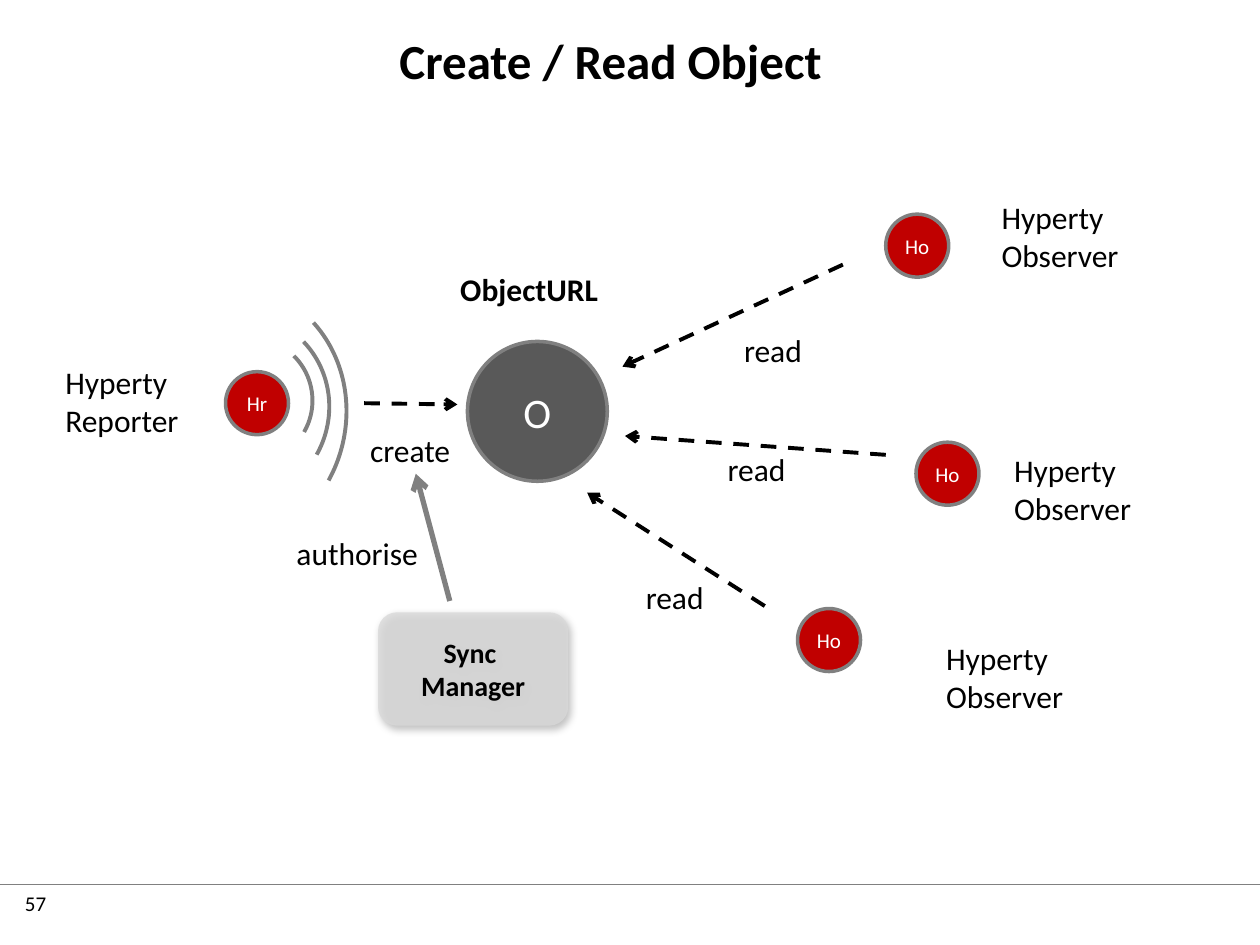
from lxml.etree import SubElement
from pptx import Presentation
from pptx.dml.color import RGBColor
from pptx.enum.dml import MSO_LINE
from pptx.enum.shapes import MSO_CONNECTOR, MSO_SHAPE
from pptx.enum.text import MSO_ANCHOR, MSO_AUTO_SIZE, PP_ALIGN
from pptx.oxml.ns import qn
from pptx.util import Pt

PX = 9144  # 100 px to the inch
FONT = "Calibri"
BLACK = RGBColor(0x00, 0x00, 0x00)
WHITE = RGBColor(0xFF, 0xFF, 0xFF)
GRAY = RGBColor(0x80, 0x80, 0x80)
RED = RGBColor(0xC0, 0x00, 0x00)
DARK = RGBColor(0x59, 0x59, 0x59)
PALE = RGBColor(0xD9, 0xD9, 0xD9)

TITLE = ("Create / Read Object", (91, 19, 787, 52))
PAGE_NUMBER = ("57", (10, 702, 80, 40))
FOOTER_RULE = ((0, 702), (1000, 702))

# text, left, top, diameter, fill, font size
NODES = [
    ("Hr", 179, 295, 50, RED, 12),
    ("Ho", 727, 351, 50, RED, 12),
    ("O", 371, 271, 111, DARK, 24),
    ("Ho", 633, 483, 50, RED, 12),
    ("Ho", 703, 170, 50, RED, 12),
]
# text, left, top
ROLES = [
    ("Hyperty Reporter", 42, 283),
    ("Hyperty Observer", 785, 152),
    ("Hyperty Observer", 795, 353),
    ("Hyperty Observer", 741, 502),
]
ACTIONS = [
    ("create", 263, 337),
    ("read", 551, 258),
    ("read", 538, 352),
    ("read", 473, 454),
    ("authorise", 221, 419),
]
OBJECT_URL = ("ObjectURL", (340, 209, 160, 40))
MANAGER = ("Sync \vManager", (300, 486, 151, 90))
# start, end
MESSAGES = [
    ((669, 210), (494, 291)),
    ((289, 320), (363, 321)),
    ((703, 361), (496, 346)),
    ((607, 481), (466, 391)),
]
AUTHORISATION = ((357, 477), (330, 376))
WAVES = [(148, 268, 100, 100), (115, 249, 146, 151), (74, 224, 200, 215)]
WAVE_ANGLES = (175.919, 4.959)
WAVE_TURN = 21.6


def emu(lengths):
    return [length * PX for length in lengths]


def write(frame, text, size, color=BLACK, bold=False, align=PP_ALIGN.LEFT):
    frame.text = text
    paragraph = frame.paragraphs[0]
    paragraph.alignment = align
    font = paragraph.font
    font.name, font.size, font.bold = FONT, Pt(size), bold
    font.color.rgb = color


def add_label(text, box, size=18, **style):
    frame = slide.shapes.add_textbox(*emu(box)).text_frame
    frame.word_wrap = True
    write(frame, text, size, **style)


def add_figure(preset, box, text, size, fill, color, bold=False):
    figure = slide.shapes.add_shape(preset, *emu(box))
    figure.shadow.inherit = False
    figure.fill.solid()
    figure.fill.fore_color.rgb = fill
    frame = figure.text_frame
    frame.margin_left = frame.margin_top = frame.margin_right = frame.margin_bottom = 0
    frame.word_wrap = False
    frame.vertical_anchor = MSO_ANCHOR.MIDDLE
    write(frame, text, size, color, bold, PP_ALIGN.CENTER)
    return figure


def add_line(start, end, color, width, dashed=False, arrow=True):
    line = slide.shapes.add_connector(MSO_CONNECTOR.STRAIGHT, *emu(start + end))
    line.line.color.rgb = color
    line.line.width = Pt(width)
    if dashed:
        line.line.dash_style = MSO_LINE.DASH
    if arrow:
        SubElement(line.line._get_or_add_ln(), qn("a:tailEnd"), type="arrow")
    SubElement(line._element.spPr, qn("a:effectLst"))


prs = Presentation()
prs.slide_width, prs.slide_height = emu((1000, 750))
slide = prs.slides.add_slide(prs.slide_layouts[5])

# Title
heading, heading_box = TITLE
title = slide.shapes.title
title.left, title.top, title.width, title.height = emu(heading_box)
title.text_frame.auto_size = MSO_AUTO_SIZE.NONE
title.text_frame.vertical_anchor = MSO_ANCHOR.TOP
write(title.text_frame, heading, 28, bold=True, align=PP_ALIGN.CENTER)

# Footer
add_label(*PAGE_NUMBER, size=12)
add_line(*FOOTER_RULE, GRAY, 0.75, arrow=False)

# Hyperties and the shared object
for text, left, top, diameter, fill, size in NODES:
    node = add_figure(MSO_SHAPE.OVAL, (left, top, diameter, diameter), text, size, fill, WHITE)
    node.line.color.rgb = GRAY
    node.line.width = Pt(2)

# Waves sent by the reporter
for box in WAVES:
    wave = slide.shapes.add_shape(MSO_SHAPE.ARC, *emu(box))
    wave.shadow.inherit = False
    wave.adjustments[0], wave.adjustments[1] = WAVE_ANGLES
    wave.rotation = WAVE_TURN
    wave.fill.background()
    wave.line.color.rgb = GRAY
    wave.line.width = Pt(2.25)

# Sync manager: translucent fill and soft shadow
manager_text, manager_box = MANAGER
manager = add_figure(MSO_SHAPE.ROUNDED_RECTANGLE, manager_box, manager_text, 16, PALE, BLACK, True)
manager.line.fill.background()
properties = manager._element.spPr
fill_color = properties.find(qn("a:solidFill")).find(qn("a:srgbClr"))
SubElement(fill_color, qn("a:alpha"), val="79000")
shadow = SubElement(properties.find(qn("a:effectLst")), qn("a:outerShdw"),
                    blurRad=str(Pt(4.5)), dist=str(Pt(2.6)), dir=str(53 * 60000),
                    rotWithShape="0")
shadow_color = SubElement(shadow, qn("a:srgbClr"), val=str(BLACK))
SubElement(shadow_color, qn("a:alpha"), val="30000")

# Arrows
for start, end in MESSAGES:
    add_line(start, end, BLACK, 2.25, dashed=True)
add_line(*AUTHORISATION, GRAY, 3)

# Labels
for text, left, top in ROLES:
    add_label(text, (left, top, 119, 71))
for text, left, top in ACTIONS:
    add_label(text, (left, top, 125, 40), align=PP_ALIGN.CENTER)
add_label(*OBJECT_URL, bold=True, align=PP_ALIGN.CENTER)

prs.save("out.pptx")
